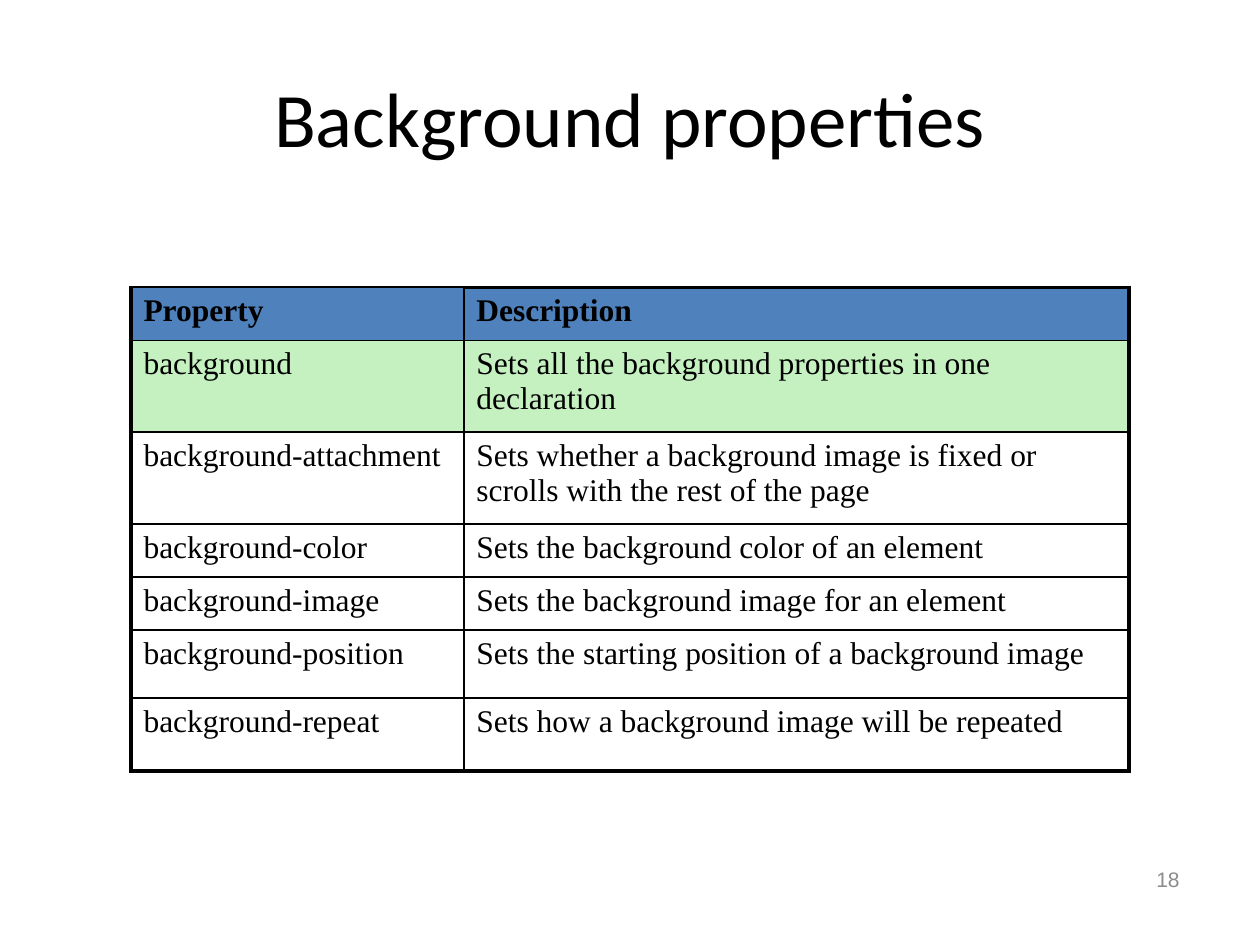
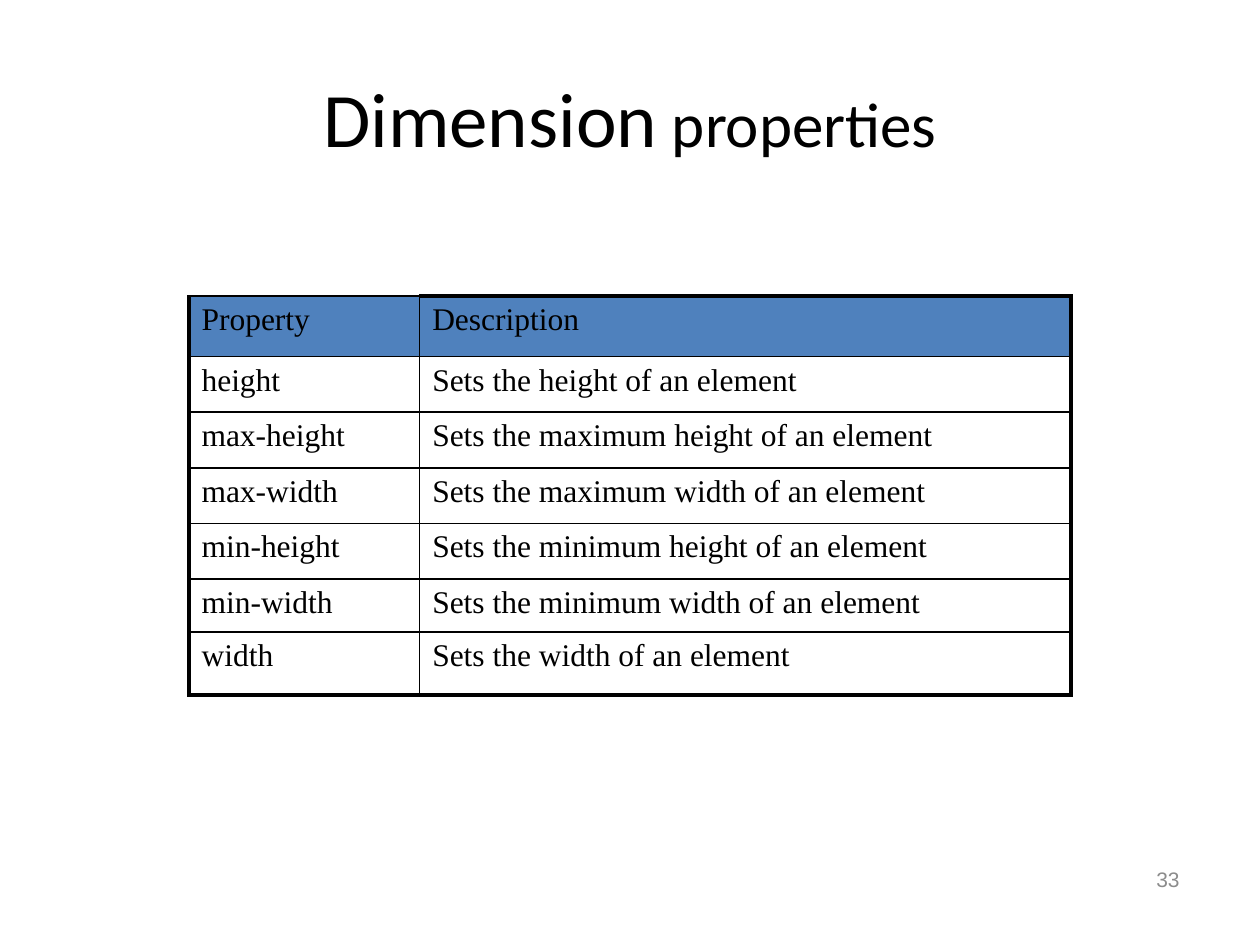
"""Builds two slides that list CSS properties in bordered tables."""
from dataclasses import dataclass

from lxml import etree
from pptx import Presentation
from pptx import util as u
from pptx.dml.color import RGBColor
from pptx.enum import text
from pptx.oxml.ns import qn

BLACK = "000000"
GREY = "8C8C8C"
HEADER_BLUE = "4F81BD"
HIGHLIGHT_GREEN = "C5F0C0"
TITLE_FONT, TABLE_FONT, NUMBER_FONT = "Calibri", "Times New Roman", "Arial"
THIN, THICK = 1, 2.25
HEADINGS = ("Property", "Description")


@dataclass(frozen=True)
class PropertyTable:
    left: float
    top: float
    column_widths: tuple[float, ...]
    row_heights: tuple[float, ...]
    entries: tuple[tuple[str, str], ...]
    bold_header: bool = False
    highlighted_row: int | None = None


@dataclass(frozen=True)
class PropertySlide:
    title_parts: tuple[tuple[str, float], ...]
    table: PropertyTable
    number: int


SLIDES = (
    PropertySlide(
        (("Background properties", 44),),
        PropertyTable(
            2.64, 5.79, (6.71, 13.41),
            (1.07, 1.85, 1.85, 1.07, 1.07, 1.37, 1.47),
            (
                ("background", "Sets all the background properties in one declaration"),
                ("background-attachment",
                 "Sets whether a background image is fixed or scrolls with the rest of the page"),
                ("background-color", "Sets the background color of an element"),
                ("background-image", "Sets the background image for an element"),
                ("background-position", "Sets the starting position of a background image"),
                ("background-repeat", "Sets how a background image will be repeated"),
            ),
            bold_header=True,
            highlighted_row=1,
        ),
        18,
    ),
    PropertySlide(
        (("Dimension", 44), (" properties", 36)),
        PropertyTable(
            3.81, 5.97, (4.65, 13.13),
            (1.22, 1.12, 1.12, 1.12, 1.12, 1.07, 1.27),
            (
                ("height", "Sets the height of an element"),
                ("max-height", "Sets the maximum height of an element"),
                ("max-width", "Sets the maximum width of an element"),
                ("min-height", "Sets the minimum height of an element"),
                ("min-width", "Sets the minimum width of an element"),
                ("width", "Sets the width of an element"),
            ),
        ),
        33,
    ),
)


def colour(value: str) -> RGBColor:
    return RGBColor.from_string(value)


def style(font, name: str, size: float, shade: str = BLACK, bold: bool = False) -> None:
    font.name, font.size, font.bold = name, u.Pt(size), bold
    font.color.rgb = colour(shade)


def add_border(cell, side: str, width: float) -> None:
    properties = cell._tc.get_or_add_tcPr()
    line = etree.SubElement(properties, qn(f"a:ln{side}"), w=str(u.Pt(width)))
    fill = etree.SubElement(line, qn("a:solidFill"))
    etree.SubElement(fill, qn("a:srgbClr"), val=BLACK)


def add_title(page, parts: tuple[tuple[str, float], ...]) -> None:
    box = page.shapes.title
    box.left, box.top, box.width, box.height = map(u.Cm, (1.27, 0.76, 22.86, 3.18))
    box.text_frame.vertical_anchor = text.MSO_ANCHOR.MIDDLE
    para = box.text_frame.paragraphs[0]
    para.alignment = text.PP_ALIGN.CENTER
    for words, size in parts:
        span = para.add_run()
        span.text = words
        style(span.font, TITLE_FONT, size)


def add_property_table(page, content: PropertyTable) -> None:
    rows = (HEADINGS, *content.entries)
    frame = page.shapes.add_table(
        len(rows), len(HEADINGS), u.Cm(content.left), u.Cm(content.top),
        u.Cm(sum(content.column_widths)), u.Cm(sum(content.row_heights)))
    table = frame.table
    table.first_row = table.horz_banding = False
    for column, width in zip(table.columns, content.column_widths):
        column.width = u.Cm(width)
    for row, height in zip(table.rows, content.row_heights):
        row.height = u.Cm(height)
    fills = {0: HEADER_BLUE, content.highlighted_row: HIGHLIGHT_GREEN}
    last_row, last_column = len(rows) - 1, len(HEADINGS) - 1
    for r, entry in enumerate(rows):
        for c, words in enumerate(entry):
            cell = table.cell(r, c)
            thick_sides = {
                "L": c == 0,
                "R": c == last_column,
                "T": r == 0 and c > 0,
                "B": r == last_row,
            }
            for side, thick in thick_sides.items():
                add_border(cell, side, THICK if thick else THIN)
            if r in fills:
                cell.fill.solid()
                cell.fill.fore_color.rgb = colour(fills[r])
            else:
                cell.fill.background()
            cell.text_frame.text = words
            span = cell.text_frame.paragraphs[0].runs[0]
            style(span.font, TABLE_FONT, 18, bold=r == 0 and content.bold_header)


def add_page_number(page, number: int) -> None:
    box = page.shapes.add_textbox(*map(u.Cm, (23.06, 17.35, 1.47, 1.27)))
    box.text_frame.word_wrap = True
    box.text_frame.text = str(number)
    style(box.text_frame.paragraphs[0].runs[0].font, NUMBER_FONT, 12, GREY)


def main() -> None:
    deck = Presentation()
    deck.slide_width, deck.slide_height = u.Cm(25.4), u.Cm(19.05)
    title_only = deck.slide_layouts.get_by_name("Title Only")
    for content in SLIDES:
        page = deck.slides.add_slide(title_only)
        add_title(page, content.title_parts)
        add_property_table(page, content.table)
        add_page_number(page, content.number)
    deck.save("out.pptx")


if __name__ == "__main__":
    main()
